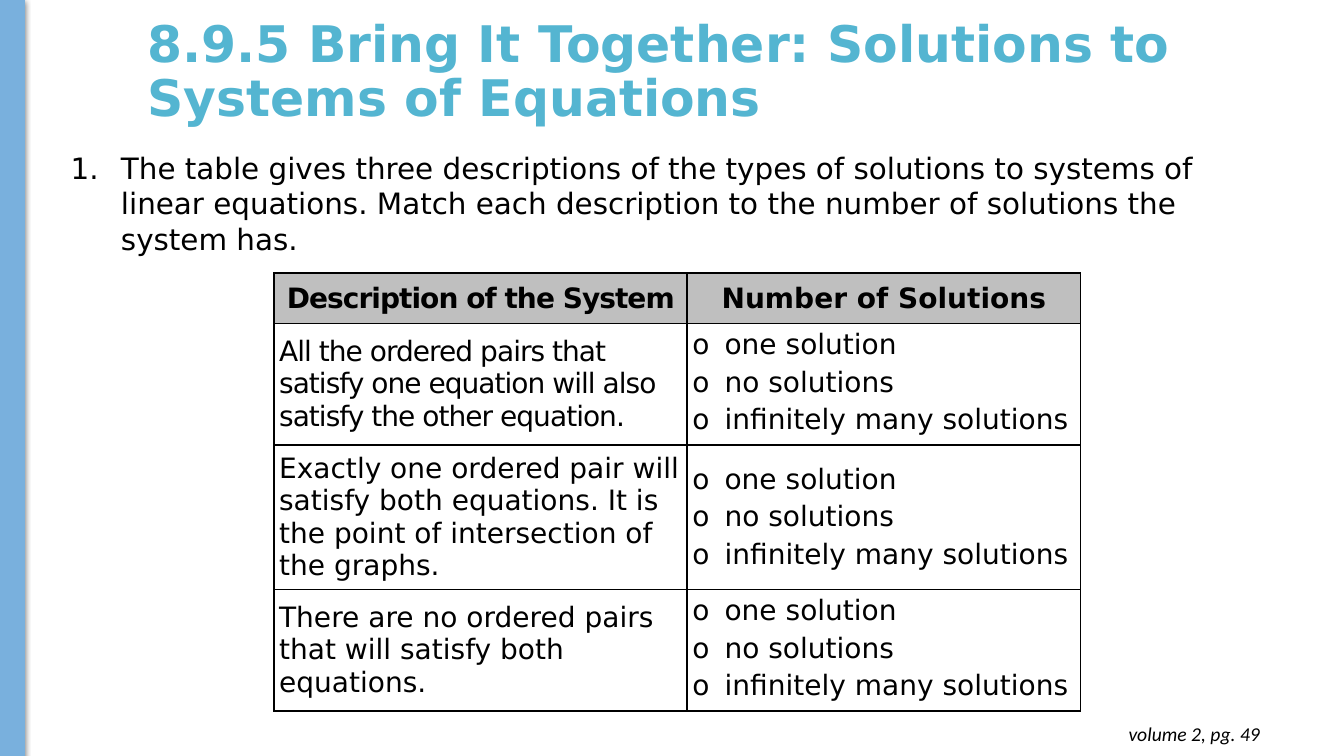
from lxml import etree
from pptx import Presentation
from pptx.dml.color import RGBColor
from pptx.enum import shapes, text
from pptx.oxml import parse_xml
from pptx.oxml.ns import qn
from pptx.util import Pt

BLACK = RGBColor(0x00, 0x00, 0x00)
BAR_BLUE = RGBColor(0x79, 0xB0, 0xDD)
TITLE_BLUE = RGBColor(0x54, 0xB5, 0xD1)
HEADER_GRAY = RGBColor(0xBF, 0xBF, 0xBF)
MAIN_FONT = "DejaVu Sans"
FOOTER_FONT = "Calibri"
DRAWING_NS = "http://schemas.openxmlformats.org/drawingml/2006/main"

TITLE = "8.9.5 Bring It Together: Solutions to Systems of Equations"
QUESTION = (
    "The table gives three descriptions of the types of solutions to systems of "
    "linear equations. Match each description to the number of solutions the system has."
)
OPTIONS = ["one solution", "no solutions", "infinitely many solutions"]
TIGHT = -0.7
HEADERS = [("Description of the System", TIGHT), ("Number of Solutions", 0)]
# description, letter spacing, row height, anchor of the options
DESCRIPTIONS = [
    ("All the ordered pairs that satisfy one equation will also satisfy the other equation.",
     TIGHT, 86, text.MSO_ANCHOR.TOP),
    ("Exactly one ordered pair will satisfy both equations. "
     "It is the point of intersection of the graphs.",
     0, 103.5, text.MSO_ANCHOR.MIDDLE),
    ("There are no ordered pairs that will satisfy both equations.",
     0, 86, text.MSO_ANCHOR.TOP),
]


def place(shape, left, top, width, height):
    shape.left, shape.top = Pt(left), Pt(top)
    shape.width, shape.height = Pt(width), Pt(height)


def set_margins(box, horizontal, vertical):
    box.margin_left = box.margin_right = Pt(horizontal)
    box.margin_top = box.margin_bottom = Pt(vertical)


def add_bullet(paragraph, tag, indent, **attributes):
    properties = paragraph._p.get_or_add_pPr()
    properties.set("marL", str(Pt(indent)))
    properties.set("indent", str(Pt(-indent)))
    color = etree.SubElement(properties, qn("a:buClr"))
    etree.SubElement(color, qn("a:srgbClr"), val=str(BLACK))
    etree.SubElement(properties, qn("a:buFont"), typeface=MAIN_FONT)
    etree.SubElement(properties, qn(tag), **attributes)


def write(paragraph, words, size=20, color=BLACK, font=MAIN_FONT, bold=False, italic=False,
          align=text.PP_ALIGN.LEFT, line=1.0, space=0, spacing=0):
    """Format one paragraph; space is around it, spacing is between letters."""
    paragraph.alignment = align
    paragraph.line_spacing = line
    paragraph.space_before = paragraph.space_after = Pt(space)
    run = paragraph.add_run()
    run.text = words
    run.font.name, run.font.size = font, Pt(size)
    run.font.bold, run.font.italic = bold, italic
    run.font.color.rgb = color
    if spacing:
        run._r.get_or_add_rPr().set("spc", str(round(spacing * 100)))


def add_side_bar(slide):
    bar = slide.shapes.add_shape(shapes.MSO_SHAPE.RECTANGLE, 0, 0, Pt(17.3), Pt(540.5))
    bar.fill.solid()
    bar.fill.fore_color.rgb = BAR_BLUE
    bar.line.color.rgb = BAR_BLUE
    bar.line.width = Pt(0.75)
    bar._element.spPr.append(parse_xml(
        f'<a:effectLst xmlns:a="{DRAWING_NS}">'
        f'<a:outerShdw blurRad="{Pt(4.5)}" dist="{Pt(1.5)}" dir="5400000" rotWithShape="0">'
        f'<a:srgbClr val="{BLACK}"><a:alpha val="50000"/></a:srgbClr>'
        '</a:outerShdw></a:effectLst>'))


def fill_title(title):
    place(title, 98, 0, 880.5, 104.4)
    frame = title.text_frame
    frame.word_wrap = True
    frame.auto_size = text.MSO_AUTO_SIZE.NONE
    frame.vertical_anchor = text.MSO_ANCHOR.MIDDLE
    set_margins(frame, 7.2, 3.6)
    write(frame.paragraphs[0], TITLE, size=36, color=TITLE_BLUE, bold=True, line=0.9)


def fill_question(body):
    place(body, 43.2, 103.7, 828, 83.5)
    frame = body.text_frame
    frame.word_wrap = True
    frame.auto_size = text.MSO_AUTO_SIZE.SHAPE_TO_FIT_TEXT
    frame.vertical_anchor = text.MSO_ANCHOR.TOP
    set_margins(frame, 7.2, 3.6)
    add_bullet(frame.paragraphs[0], "a:buAutoNum", 36, type="arabicPeriod")
    write(frame.paragraphs[0], QUESTION, size=21)


def style_cell(cell, anchor=text.MSO_ANCHOR.MIDDLE, fill=None):
    set_margins(cell, 3.6, 3.6)
    cell.vertical_anchor = anchor
    properties = cell._tc.get_or_add_tcPr()
    for side in ("a:lnL", "a:lnR", "a:lnT", "a:lnB"):
        border = etree.SubElement(properties, qn(side), w=str(Pt(1.5)))
        solid = etree.SubElement(border, qn("a:solidFill"))
        etree.SubElement(solid, qn("a:srgbClr"), val=str(BLACK))
    if fill is None:
        cell.fill.background()
    else:
        cell.fill.solid()
        cell.fill.fore_color.rgb = fill


def fill_options(cell):
    frame = cell.text_frame
    for index, option in enumerate(OPTIONS):
        paragraph = frame.add_paragraph() if index else frame.paragraphs[0]
        add_bullet(paragraph, "a:buChar", 23, char="o")
        write(paragraph, option, space=1.8)


def add_solutions_table(slide):
    heights = [36] + [row[2] for row in DESCRIPTIONS]
    frame = slide.shapes.add_table(len(heights), 2, Pt(195.8), Pt(195.1), Pt(576), Pt(sum(heights)))
    table = frame.table
    table.first_row = table.horz_banding = False
    for column, width in zip(table.columns, (295.2, 280.8)):
        column.width = Pt(width)
    for row, height in zip(table.rows, heights):
        row.height = Pt(height)
    for index, (header, spacing) in enumerate(HEADERS):
        cell = table.cell(0, index)
        style_cell(cell, fill=HEADER_GRAY)
        write(cell.text_frame.paragraphs[0], header, bold=True,
              align=text.PP_ALIGN.CENTER, space=1.8, spacing=spacing)
    for index, (description, spacing, _, anchor) in enumerate(DESCRIPTIONS, start=1):
        description_cell, options_cell = table.cell(index, 0), table.cell(index, 1)
        style_cell(description_cell)
        write(description_cell.text_frame.paragraphs[0], description, space=1.8, spacing=spacing)
        style_cell(options_cell, anchor)
        fill_options(options_cell)


def add_page_reference(slide):
    box = slide.shapes.add_textbox(Pt(699.8), Pt(508.3), Pt(207.4), Pt(31.7))
    frame = box.text_frame
    frame.word_wrap = True
    frame.auto_size = text.MSO_AUTO_SIZE.SHAPE_TO_FIT_TEXT
    set_margins(frame, 7.2, 7.2)
    write(frame.paragraphs[0], "volume 2, pg. 49", size=14, font=FOOTER_FONT,
          italic=True, align=text.PP_ALIGN.RIGHT)


def main():
    presentation = Presentation()
    presentation.slide_width, presentation.slide_height = Pt(960), Pt(540)
    slide = presentation.slides.add_slide(presentation.slide_layouts[1])
    add_side_bar(slide)
    fill_title(slide.shapes.title)
    fill_question(slide.placeholders[1])
    add_solutions_table(slide)
    add_page_reference(slide)
    presentation.save("out.pptx")


if __name__ == "__main__":
    main()
